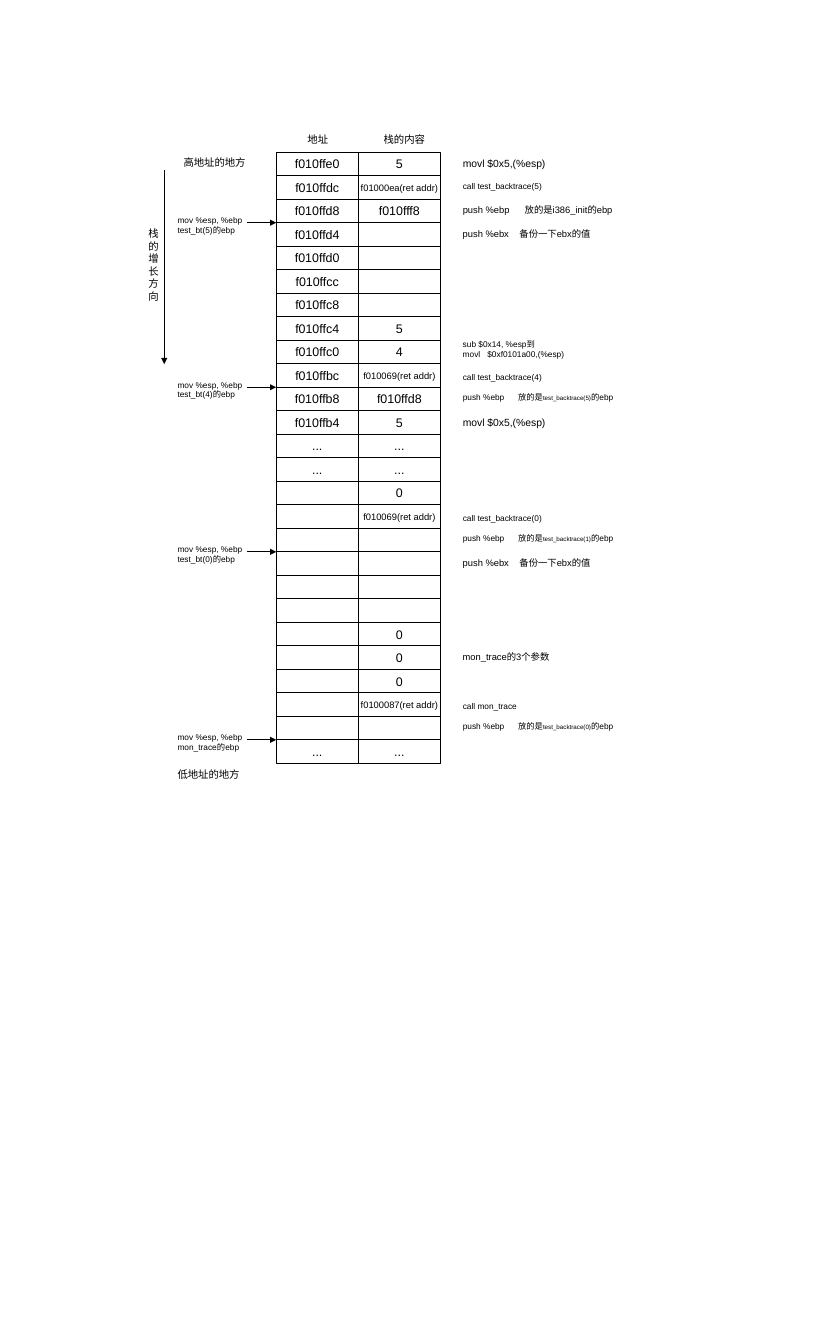
from lxml import etree
from pptx import Presentation
from pptx.dml.color import RGBColor
from pptx.enum.shapes import MSO_CONNECTOR, MSO_SHAPE
from pptx.enum.text import MSO_ANCHOR, PP_ALIGN
from pptx.oxml.ns import qn
from pptx.util import Inches, Pt

RECTANGLE = MSO_SHAPE.RECTANGLE
STRAIGHT = MSO_CONNECTOR.STRAIGHT
MIDDLE, CENTER = MSO_ANCHOR.MIDDLE, PP_ALIGN.CENTER

FONT = "Arial"
COLORS = {"ink": "000000", "paper": "FFFFFF"}
BLANK_LAYOUT = 6

# The page is 28 by 45.75 centimetres
CM_PER_INCH = 2.54
PAGE_WIDTH, PAGE_HEIGHT = 28 / CM_PER_INCH, 45.75 / CM_PER_INCH

# Stack grid
STACK_TOP, STACK_BOTTOM = 2.04, 10.23
ADDRESS_LEFT, CELL_WIDTH = 3.7, 1.1
STACK = [
    ("f010ffe0", "5"), ("f010ffdc", "f01000ea(ret addr)"),
    ("f010ffd8", "f010fff8"), ("f010ffd4", ""), ("f010ffd0", ""),
    ("f010ffcc", ""), ("f010ffc8", ""), ("f010ffc4", "5"),
    ("f010ffc0", "4"), ("f010ffbc", "f010069(ret addr)"),
    ("f010ffb8", "f010ffd8"), ("f010ffb4", "5"), ("...", "..."),
    ("...", "..."), ("", "0"), ("", "f010069(ret addr)"), ("", ""),
    ("", ""), ("", ""), ("", ""), ("", "0"), ("", "0"), ("", "0"),
    ("", "f0100087(ret addr)"), ("", ""), ("...", "..."),
]
ROW_HEIGHT = (STACK_BOTTOM - STACK_TOP) / len(STACK)

# Instructions beside the stack: row, offset, width, height, text, size, tab stop
NOTE_LEFT = 6.1
NOTES = [
    (0, 0.02, 1.31, 0.23, "movl $0x5,(%esp)", 10, None),
    (1, 0.02, 1.31, 0.23, "call test_backtrace(5)", 8, None),
    (2, 0.02, 2.49, 0.41, "push %ebp\t放的是i386_init的ebp", 9, 0.83),
    (3, 0.02, 2.33, 0.26, "push %ebx\t备份一下ebx的值", 9, 0.76),
    (8, -0.06, 1.57, 0.39, "sub $0x14, %esp到\vmovl\t$0xf0101a00,(%esp)", 8, 0.33),
    (9, 0.06, 1.31, 0.23, "call test_backtrace(4)", 8, None),
    (11, 0.02, 1.31, 0.23, "movl $0x5,(%esp)", 10, None),
    (15, 0.06, 1.31, 0.23, "call test_backtrace(0)", 8, None),
    (17, 0.02, 2.33, 0.26, "push %ebx\t备份一下ebx的值", 9, 0.76),
    (21, 0.02, 2.33, 0.26, "mon_trace的3个参数", 9, None),
    (23, 0.06, 1.31, 0.23, "call mon_trace", 8, None),
]
SAVED_FRAMES = [(10, "test_backtrace(5)"), (16, "test_backtrace(1)"),
                (24, "test_backtrace(0)")]

# Frame pointers left of the stack, each at the top edge of a row
FRAME_POINTERS = [(3, "test_bt(5)"), (10, "test_bt(4)"),
                  (17, "test_bt(0)"), (25, "mon_trace")]

# Captions: left, top, width, text
CAPTIONS = [
    (4.02, 1.74, 0.63, "地址"),
    (5.04, 1.74, 0.79, "栈的内容"),
    (2.36, 2.05, 1.18, "高地址的地方"),
    (2.28, 10.25, 1.18, "低地址的地方"),
    (1.89, 3.0, 0.24, "栈的增长方向"),
]


def apply_format(target, formats):
    for name, value in formats.items():
        setattr(target, name, value)


def color(name):
    return RGBColor.from_string(COLORS[name])


def row_top(row):
    return STACK_TOP + row * ROW_HEIGHT


def format_runs(paragraph, size):
    for run in paragraph.runs:
        apply_format(run.font, {"name": FONT, "size": Pt(size)})
        run.font.color.rgb = color("ink")


def format_line(line):
    line.color.rgb = color("ink")
    line.width = Pt(0.75)


def add_tab_stop(paragraph, position):
    properties = paragraph._p.get_or_add_pPr()
    tabs = etree.SubElement(properties, qn("a:tabLst"))
    etree.SubElement(tabs, qn("a:tab"), pos=str(Inches(position)), algn="l")


def add_label(slide, left, top, width, height, text, size, tab_stop=None):
    box = slide.shapes.add_textbox(
        Inches(left), Inches(top), Inches(width), Inches(height))
    box.text_frame.word_wrap = True
    paragraph = box.text_frame.paragraphs[0]
    paragraph.text = text
    format_runs(paragraph, size)
    if tab_stop:
        add_tab_stop(paragraph, tab_stop)
    return paragraph


def add_saved_frame(slide, row, function):
    paragraph = add_label(slide, NOTE_LEFT, row_top(row) + 0.02, 2.49, 0.41,
                          "push %ebp\t放的是", 8, 0.74)
    paragraph.add_run().text = function
    paragraph.add_run().text = "的ebp"
    format_runs(paragraph, 8)
    paragraph.runs[-2].font.size = Pt(6)


def add_cell(slide, column, row, text):
    cell = slide.shapes.add_shape(
        RECTANGLE, Inches(ADDRESS_LEFT + column * CELL_WIDTH),
        Inches(row_top(row)), Inches(CELL_WIDTH), Inches(ROW_HEIGHT))
    cell.shadow.inherit = False
    cell.fill.solid()
    cell.fill.fore_color.rgb = color("paper")
    format_line(cell.line)
    if text:
        apply_format(cell.text_frame,
                     {"word_wrap": False, "vertical_anchor": MIDDLE})
        paragraph = cell.text_frame.paragraphs[0]
        apply_format(paragraph, {"text": text, "alignment": CENTER})
        format_runs(paragraph, 9 if "ret addr" in text else 12)


def add_arrow(slide, start, end):
    arrow = slide.shapes.add_connector(
        STRAIGHT, *[Inches(value) for value in (*start, *end)])
    format_line(arrow.line)
    properties = arrow._element.spPr
    etree.SubElement(properties.find(qn("a:ln")), qn("a:tailEnd"), type="triangle")
    etree.SubElement(properties, qn("a:effectLst"))


def add_frame_pointer(slide, row, function):
    edge = row_top(row)
    add_label(slide, 2.28, edge - 0.15, 1.18, 0.35,
              f"mov %esp, %ebp {function}的ebp", 8)
    add_arrow(slide, (3.31, edge), (ADDRESS_LEFT, edge))


def main():
    presentation = Presentation()
    presentation.slide_width = Inches(PAGE_WIDTH)
    presentation.slide_height = Inches(PAGE_HEIGHT)
    slide = presentation.slides.add_slide(presentation.slide_layouts[BLANK_LAYOUT])

    # Stack cells
    for row, texts in enumerate(STACK):
        for column, text in enumerate(texts):
            add_cell(slide, column, row, text)

    # Instructions
    for row, offset, width, height, text, size, tab_stop in NOTES:
        add_label(slide, NOTE_LEFT, row_top(row) + offset, width, height,
                  text, size, tab_stop)
    for row, function in SAVED_FRAMES:
        add_saved_frame(slide, row, function)

    # Frame pointers
    for row, function in FRAME_POINTERS:
        add_frame_pointer(slide, row, function)

    # Captions and growth direction
    for left, top, width, text in CAPTIONS:
        add_label(slide, left, top, width, 0.23, text, 10)
    add_arrow(slide, (2.2, 2.28), (2.2, 4.88))

    presentation.save("out.pptx")


main()
